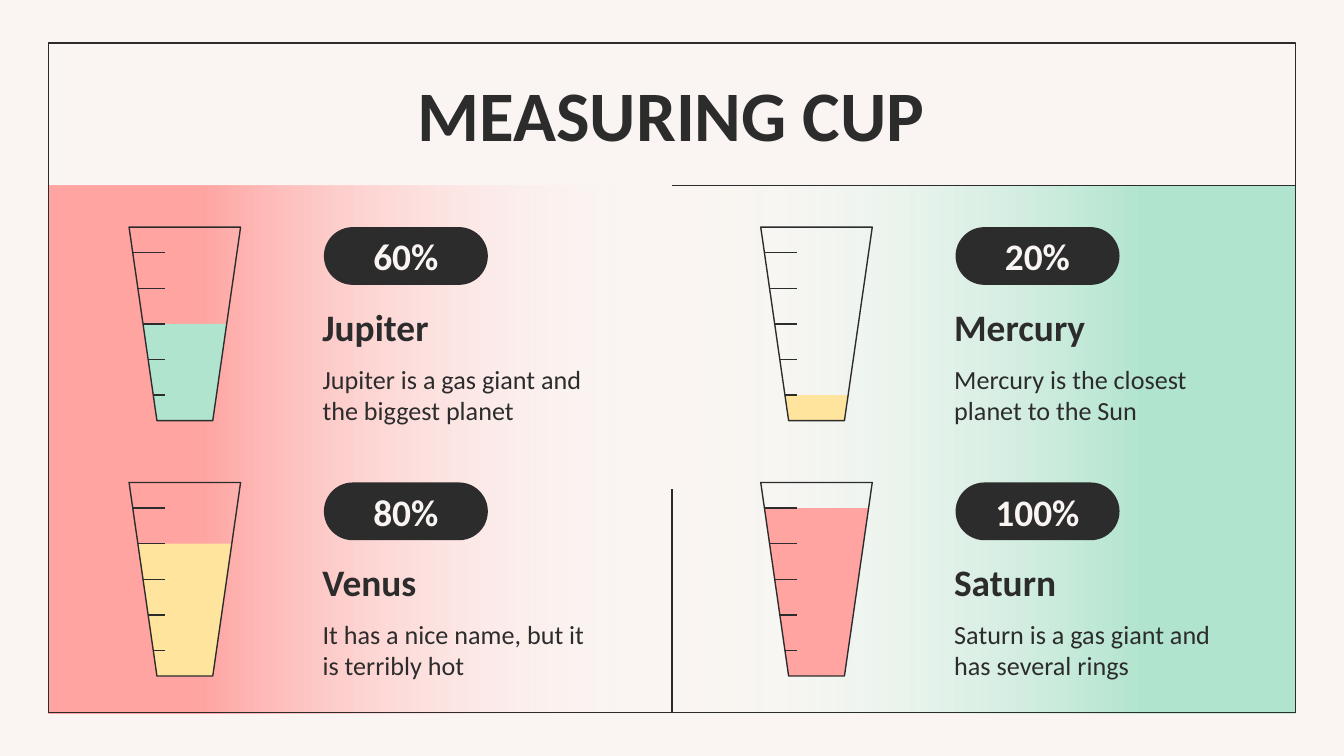
from dataclasses import dataclass

from lxml import etree
from pptx import Presentation
from pptx.dml.color import RGBColor
from pptx.enum import shapes, text
from pptx.oxml.ns import qn
from pptx.util import Inches, Pt


@dataclass(frozen=True)
class Theme:
    font: str = "Calibri"
    paper: str = "FAF5F2"
    ink: str = "2C2C2C"
    pink: str = "FFA4A1"
    green: str = "B0E4CE"
    yellow: str = "FFE49E"
    clear: str = "FFFFFF"
    title: int = 38
    heading: int = 20
    body: int = 14
    line: float = 0.75


@dataclass(frozen=True)
class Planet:
    name: str
    description: str
    percent: int
    color: str
    left: float
    top: float


THEME = Theme()
SLIDE_WIDTH = 10
SLIDE_HEIGHT = SLIDE_WIDTH * 9 / 16
LEFT_COLUMN, RIGHT_COLUMN = 0.96, 5.66
TOP_ROW, BOTTOM_ROW = 1.69, 3.59
PLANETS = [
    Planet("Jupiter", "Jupiter is a gas giant and the biggest planet", 60,
           THEME.green, LEFT_COLUMN, TOP_ROW),
    Planet("Venus", "It has a nice name, but it is terribly hot", 80,
           THEME.yellow, LEFT_COLUMN, BOTTOM_ROW),
    Planet("Mercury", "Mercury is the closest planet to the Sun", 20,
           THEME.yellow, RIGHT_COLUMN, TOP_ROW),
    Planet("Saturn", "Saturn is a gas giant and has several rings", 100,
           THEME.pink, RIGHT_COLUMN, BOTTOM_ROW),
]

CUP_WIDTH, CUP_HEIGHT = 0.83, 1.44
SLOPE = 0.25 * CUP_WIDTH / CUP_HEIGHT
FIRST_MARK, LAST_MARK, MARK_COUNT = 0.19, 1.25, 5
MARK_STEP = (LAST_MARK - FIRST_MARK) / (MARK_COUNT - 1)
MARK_END = 0.27


def rgb(color: str) -> RGBColor:
    return RGBColor.from_string(color)


def place(shape, left: float, top: float, width: float, height: float) -> None:
    shape.left, shape.top = Inches(left), Inches(top)
    shape.width, shape.height = Inches(width), Inches(height)


def add_shape(parent, kind, left: float, top: float, width: float, height: float,
              fill: str | None = None, line: str | None = None):
    shape = parent.add_shape(kind, Inches(left), Inches(top), Inches(width), Inches(height))
    shape.shadow.inherit = False
    if fill:
        shape.fill.solid()
        shape.fill.fore_color.rgb = rgb(fill)
    else:
        shape.fill.background()
    if line:
        shape.line.color.rgb = rgb(line)
        shape.line.width = Pt(THEME.line)
    else:
        shape.line.fill.background()
    return shape


def add_line(parent, x1: float, y1: float, x2: float, y2: float):
    line = parent.add_connector(shapes.MSO_CONNECTOR.STRAIGHT,
                                Inches(x1), Inches(y1), Inches(x2), Inches(y2))
    line.line.color.rgb = rgb(THEME.ink)
    line.line.width = Pt(THEME.line)
    etree.SubElement(line.element.spPr, qn("a:effectLst"))
    return line


def add_fading_panel(parent, left: float, width: float, color: str, rotation: int) -> None:
    """Fade from a solid colour to full transparency, left to right before rotation."""
    panel = add_shape(parent, shapes.MSO_SHAPE.RECTANGLE, left, 1.38, width, 3.93)
    panel.rotation = rotation
    panel.fill.gradient()
    panel.fill.gradient_angle = 0
    stops = panel.element.spPr.find(qn("a:gradFill")).find(qn("a:gsLst"))
    for stop in list(stops):
        stops.remove(stop)
    for percent, stop_color, alpha in ((0, color, 100), (24, color, 100), (100, THEME.clear, 0)):
        stop = etree.SubElement(stops, qn("a:gs"), pos=str(percent * 1000))
        value = etree.SubElement(stop, qn("a:srgbClr"), val=stop_color)
        if alpha < 100:
            etree.SubElement(value, qn("a:alpha"), val=str(alpha * 1000))


def write(shape, words: str, size: int, color: str = THEME.ink, bold: bool = False,
          align=text.PP_ALIGN.LEFT, anchor=text.MSO_ANCHOR.MIDDLE,
          inset: float = 0.1, after: int = 0) -> None:
    frame = shape.text_frame
    frame.word_wrap = True
    frame.auto_size = text.MSO_AUTO_SIZE.NONE
    frame.vertical_anchor = anchor
    frame.margin_left = frame.margin_right = Inches(0.1)
    frame.margin_top = frame.margin_bottom = Inches(inset)
    para = frame.paragraphs[0]
    properties = para._p.get_or_add_pPr()
    properties.set("marL", "0")
    properties.set("indent", "0")
    etree.SubElement(properties, qn("a:buNone"))
    para.alignment = align
    para.space_before, para.space_after = Pt(0), Pt(after)
    span = para.add_run()
    span.text = words
    span.font.name, span.font.size, span.font.bold = THEME.font, Pt(size), bold
    span.font.color.rgb = rgb(color)


def add_trapezoid(parent, left: float, bottom: float, width: float, height: float,
                  fill: str | None = None, line: str | None = None) -> None:
    shape = add_shape(parent, shapes.MSO_SHAPE.TRAPEZOID, left, bottom - height,
                      width, height, fill, line)
    shape.adjustments[0] = SLOPE * height / min(width, height)
    shape.rotation = 180


def add_cup(page, planet: Planet) -> None:
    cup = page.shapes.add_group_shape().shapes
    bottom = planet.top + CUP_HEIGHT
    marks = [FIRST_MARK + MARK_STEP * i for i in range(MARK_COUNT)]
    level = marks[planet.percent * MARK_COUNT // 100 - 1]
    inset = SLOPE * (CUP_HEIGHT - level)
    add_trapezoid(cup, planet.left + inset, bottom, CUP_WIDTH - 2 * inset, level,
                  fill=planet.color)
    add_trapezoid(cup, planet.left, bottom, CUP_WIDTH, CUP_HEIGHT, line=THEME.ink)
    for mark in marks:
        add_line(cup, planet.left + SLOPE * (CUP_HEIGHT - mark), bottom - mark,
                 planet.left + MARK_END, bottom - mark)


def add_planet(page, planet: Planet, description) -> None:
    add_cup(page, planet)
    pill = add_shape(page.shapes, shapes.MSO_SHAPE.ROUNDED_RECTANGLE,
                     planet.left + 1.45, planet.top, 1.22, 0.43, fill=THEME.ink)
    pill.adjustments[0] = 0.5
    write(pill, f"{planet.percent}%", THEME.heading, THEME.paper, bold=True,
          align=text.PP_ALIGN.CENTER, inset=0)
    text_left = planet.left + 1.34
    name = page.shapes.add_textbox(Inches(text_left), Inches(planet.top + 0.48),
                                   Inches(2.31), Inches(0.52))
    write(name, planet.name, THEME.heading, bold=True)
    place(description, text_left, planet.top + 0.91, 2.31, 0.66)
    write(description, planet.description, THEME.body,
          anchor=text.MSO_ANCHOR.TOP, after=12)


def main() -> None:
    deck = Presentation()
    deck.slide_width, deck.slide_height = Inches(SLIDE_WIDTH), Inches(SLIDE_HEIGHT)
    page = deck.slides.add_slide(deck.slide_layouts.get_by_name("Comparison"))
    page.background.fill.solid()
    page.background.fill.fore_color.rgb = rgb(THEME.paper)
    title, *descriptions = page.placeholders

    add_fading_panel(page.shapes, 5.01, 4.63, THEME.green, rotation=180)
    add_fading_panel(page.shapes, 0.36, 4.65, THEME.pink, rotation=0)
    frame = add_shape(page.shapes, shapes.MSO_SHAPE.RECTANGLE, 0.36, 0.32, 9.28, 4.98,
                      line=THEME.ink)
    divider = add_line(page.shapes, 5, 5.3, 5, 3.64)
    divider.begin_connect(frame, 2)
    add_line(page.shapes, 5, 1.38, 9.64, 1.38)

    # Placeholders start at the back; bring them in front of the panels.
    for holder in (title, *descriptions):
        holder.element.getparent().append(holder.element)
    place(title, 2.44, 0.53, 5.11, 0.63)
    write(title, "MEASURING CUP", THEME.title, bold=True, align=text.PP_ALIGN.CENTER)
    for planet, description in zip(PLANETS, descriptions):
        add_planet(page, planet, description)
    deck.save("out.pptx")


if __name__ == "__main__":
    main()
